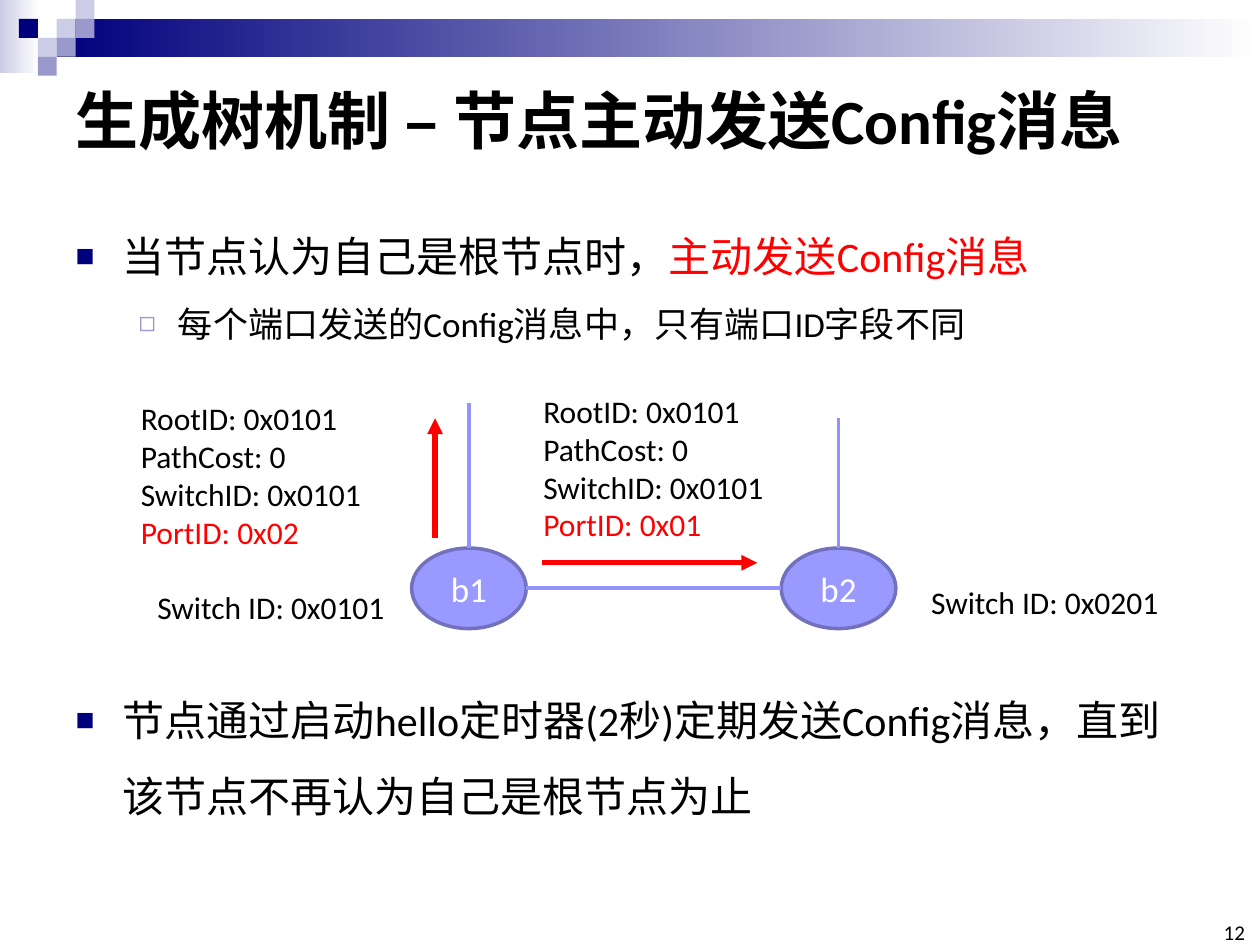
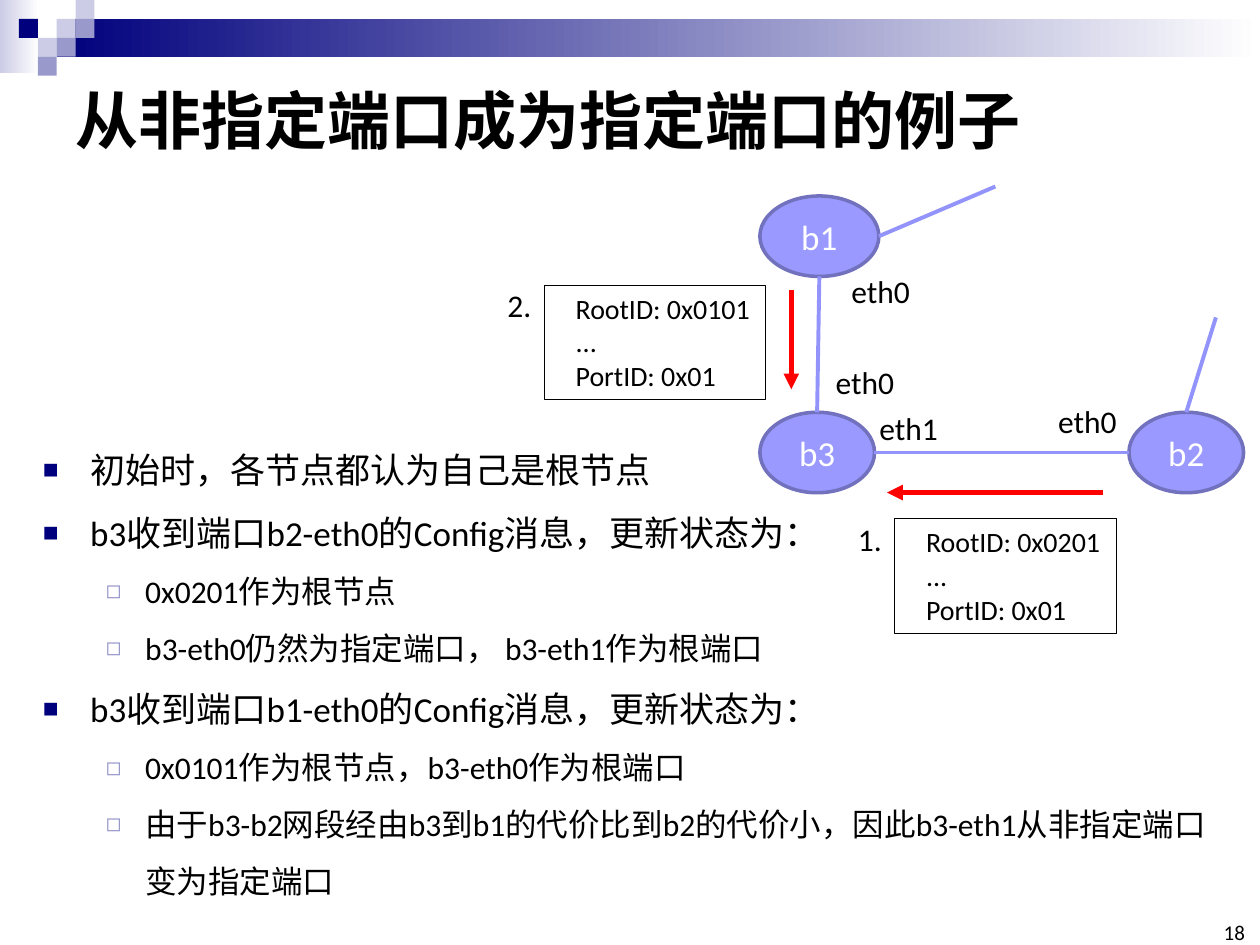
from dataclasses import dataclass

from lxml.etree import SubElement
from pptx import Presentation
from pptx.dml.color import RGBColor
from pptx.enum.shapes import MSO_CONNECTOR as Connector, MSO_SHAPE as Preset
from pptx.enum.text import MSO_ANCHOR as Anchor, MSO_AUTO_SIZE as AutoSize, PP_ALIGN as Align
from pptx.oxml.ns import qn
from pptx.util import Pt

FONT = "Calibri"
BLACK, WHITE, RED = "000000", "FFFFFF", "FF0000"
NAVY, LAVENDER, VIOLET = "00007D", "CCCCE6", "9999CC"
NODE_FILL, NODE_EDGE, LINK = "9999FF", "7171BD", "9393FC"
TILE = 10.8
TILES = [(3, 1, LAVENDER), (4, 0, LAVENDER), (4, 1, VIOLET), (2, 2, LAVENDER),
         (1, 1, NAVY), (3, 2, VIOLET), (2, 3, VIOLET)]  # column, row, colour


@dataclass(frozen=True)
class Span:
    text: str
    color: str = BLACK


@dataclass(frozen=True)
class Bullet:
    spans: tuple[Span, ...]
    size: float
    level: int = 0
    before: float = 0


@dataclass(frozen=True)
class BulletStyle:
    char: str
    color: str
    percent: int
    left: float
    hanging: float


@dataclass(frozen=True)
class Node:
    name: str
    left: float
    top: float
    width: float = 65.5
    height: float = 46

    @property
    def north(self) -> tuple[float, float]:
        return self.left + self.width / 2, self.top

    @property
    def south(self) -> tuple[float, float]:
        return self.left + self.width / 2, self.top + self.height

    @property
    def east(self) -> tuple[float, float]:
        return self.left + self.width, self.top + self.height / 2

    @property
    def west(self) -> tuple[float, float]:
        return self.left, self.top + self.height / 2


@dataclass(frozen=True)
class Label:
    lines: tuple[Span, ...]
    left: float
    top: float
    width: float
    height: float = 29


BULLET_STYLES = (BulletStyle("■", NAVY, 75, 27, 27),
                 BulletStyle("◻", VIOLET, 80, 58.5, 22.5))


# Shared helpers
def rgb(color: str) -> RGBColor:
    return RGBColor.from_string(color)


def style_font(font, size: float, color: str = BLACK, bold: bool = False) -> None:
    font.name, font.size, font.bold = FONT, Pt(size), bold
    font.color.rgb = rgb(color)


def place(box, left: float, top: float, width: float, height: float) -> None:
    box.left, box.top, box.width, box.height = map(Pt, (left, top, width, height))


def add_box(page, preset, left, top, width, height, fill, edge=None, weight=1):
    box = page.shapes.add_shape(preset, *map(Pt, (left, top, width, height)))
    box.shadow.inherit = False
    if isinstance(fill, tuple):
        box.fill.gradient()
        box.fill.gradient_angle = 0
        for stop, color in zip(box.fill.gradient_stops, fill):
            stop.color.rgb = rgb(color)
    else:
        box.fill.solid()
        box.fill.fore_color.rgb = rgb(fill)
    if edge:
        box.line.color.rgb = rgb(edge)
        box.line.width = Pt(weight)
    else:
        box.line.fill.background()
    return box


def write_lines(frame, lines: tuple[Span, ...], size: float, align=Align.LEFT) -> None:
    for index, line in enumerate(lines):
        para = frame.paragraphs[0] if index == 0 else frame.add_paragraph()
        para.add_run().text = line.text
        para.alignment = align
        style_font(para.font, size, line.color)


def add_label(page, label: Label, size: float = 18):
    box = page.shapes.add_textbox(*map(Pt, (label.left, label.top, label.width, label.height)))
    box.text_frame.word_wrap = False
    write_lines(box.text_frame, label.lines, size)
    return box


def add_line(page, start, end, color=LINK, weight=2.25, arrow=False) -> None:
    line = page.shapes.add_connector(Connector.STRAIGHT, *map(Pt, (*start, *end)))
    line.line.color.rgb = rgb(color)
    line.line.width = Pt(weight)
    if arrow:
        SubElement(line.line._get_or_add_ln(), qn("a:tailEnd"), type="triangle")
    SubElement(line._element.spPr, qn("a:effectLst"))


def add_arrow(page, start, end) -> None:
    add_line(page, start, end, RED, 3, arrow=True)


def add_node(page, node: Node) -> None:
    box = add_box(page, Preset.OVAL, node.left, node.top, node.width, node.height,
                  NODE_FILL, NODE_EDGE, 2)
    box.text_frame.vertical_anchor = Anchor.MIDDLE
    write_lines(box.text_frame, (Span(node.name, WHITE),), 20, Align.CENTER)


def add_message(page, root: str, left: float, top: float) -> None:
    box = add_box(page, Preset.RECTANGLE, left, top, 126.7, 65.5, WHITE, BLACK, 0.5)
    frame = box.text_frame
    frame.word_wrap = True
    frame.vertical_anchor = Anchor.TOP
    frame.margin_left, frame.margin_right = Pt(18), Pt(0)
    write_lines(frame, (Span(f"RootID: {root}"), Span("..."), Span("PortID: 0x01")), 16)


def format_bullet(para, style: BulletStyle) -> None:
    props = para._p.get_or_add_pPr()
    props.set("marL", str(Pt(style.left)))
    props.set("indent", str(-Pt(style.hanging)))
    SubElement(SubElement(props, qn("a:buClr")), qn("a:srgbClr"), val=style.color)
    SubElement(props, qn("a:buSzPct"), val=str(style.percent * 1000))
    SubElement(props, qn("a:buChar"), char=style.char)


def fill_body(body, bullets: list[Bullet]) -> None:
    frame = body.text_frame
    frame.auto_size = AutoSize.NONE
    frame.vertical_anchor = Anchor.TOP
    for index, bullet in enumerate(bullets):
        para = frame.paragraphs[0] if index == 0 else frame.add_paragraph()
        para.level = bullet.level
        para.line_spacing = 1.5
        para.space_before = Pt(bullet.before)
        format_bullet(para, BULLET_STYLES[bullet.level])
        style_font(para.font, bullet.size)
        for part in bullet.spans:
            span = para.add_run()
            span.text = part.text
            if part.color != BLACK:
                span.font.color.rgb = rgb(part.color)


def add_page(deck, title: str, number: int):
    page = deck.slides.add_slide(deck.slide_layouts[1])
    # Top band and tiles
    add_box(page, Preset.RECTANGLE, 0, 0, 22.3, 41.8, (LAVENDER, WHITE))
    add_box(page, Preset.RECTANGLE, 3 * TILE, TILE, 720 - 3 * TILE, 2 * TILE, (NAVY, WHITE))
    for column, row, color in TILES:
        add_box(page, Preset.RECTANGLE, column * TILE, row * TILE, TILE, TILE, color)
    # Title
    heading = page.shapes.title
    place(heading, 36, 36, 648, 64)
    frame = heading.text_frame
    frame.auto_size = AutoSize.NONE
    frame.vertical_anchor = Anchor.MIDDLE
    write_lines(frame, (Span(title),), 36)
    frame.paragraphs[0].font.bold = True
    # Page number
    box = add_label(page, Label((Span(str(number)),), 694.8, 527.8, 16.6, 12.2), 12)
    frame = box.text_frame
    frame.margin_left = frame.margin_right = frame.margin_top = frame.margin_bottom = 0
    frame.word_wrap = True
    frame.vertical_anchor = Anchor.BOTTOM
    frame.paragraphs[0].alignment = Align.RIGHT
    return page


# Slides
def build_active_sending(deck) -> None:
    page = add_page(deck, "生成树机制 – 节点主动发送Config消息", 12)
    body = page.placeholders[1]
    place(body, 36, 113.8, 648, 396.7)
    fill_body(body, [
        Bullet((Span("当节点认为自己是根节点时，"), Span("主动发送Config消息", RED)), 24),
        Bullet((Span("每个端口发送的Config消息中，只有端口ID字段不同"),), 20, 1),
        Bullet((Span("节点通过启动hello定时器(2秒)定期发送Config消息，"
                     "直到该节点不再认为自己是根节点为止"),), 24, before=186),
    ])
    # Switches and links
    b1, b2 = Node("b1", 235.2, 313.2), Node("b2", 446.4, 313.2)
    for node, link_top in ((b1, 230.4), (b2, 239)):
        add_node(page, node)
        add_line(page, (node.north[0], link_top), node.north)
    add_line(page, b1.east, b2.west)
    for switch, left, top in (("0x0101", 82.8, 332.6), ("0x0201", 525, 329.5)):
        add_label(page, Label((Span(f"Switch ID: {switch}"),), left, top, 146.2))
    # Config messages
    for port, left, top in (("0x02", 73.4, 224.6), ("0x01", 303.4, 220.5)):
        lines = (Span("RootID: 0x0101"), Span("PathCost: 0"),
                 Span("SwitchID: 0x0101"), Span(f"PortID: {port}", RED))
        add_label(page, Label(lines, left, top, 141.8, 94.3))
    add_arrow(page, (248.6, 307.4), (248.6, 239))
    add_arrow(page, (309.6, 321.6), (432.7, 321.6))


def build_port_example(deck) -> None:
    page = add_page(deck, "从非指定端口成为指定端口的例子", 18)
    body = page.placeholders[1]
    place(body, 17.3, 240.5, 686.2, 237.6)
    fill_body(body, [Bullet((Span(text),), 18 if level else 20, level) for level, text in (
        (0, "初始时，各节点都认为自己是根节点"),
        (0, "b3收到端口b2-eth0的Config消息，更新状态为："),
        (1, "0x0201作为根节点"),
        (1, "b3-eth0仍然为指定端口， b3-eth1作为根端口"),
        (0, "b3收到端口b1-eth0的Config消息，更新状态为："),
        (1, "0x0101作为根节点，b3-eth0作为根端口"),
        (1, "由于b3-b2网段经由b3到b1的代价比到b2的代价小，"
            "因此b3-eth1从非指定端口变为指定端口"),
    )])
    # Switches and links
    b1 = Node("b1", 434.2, 112, width=68)
    b2, b3 = Node("b2", 645.1, 235.6), Node("b3", 434.2, 235.6)
    for node in (b1, b2, b3):
        add_node(page, node)
    for start, end in ((b1.south, b3.north), (b3.east, b2.west),
                       ((694.8, 181.4), b2.north), (b1.east, (568.8, 106.6))):
        add_line(page, start, end)
    # Port names
    for port, left, top in (("eth0", 479.5, 152), ("eth0", 470.5, 203.8),
                            ("eth1", 495.4, 230), ("eth0", 597.6, 226)):
        add_label(page, Label((Span(port),), left, top, 48.2))
    # Numbered Config messages
    for step, root, left, top in (("1.", "0x0201", 511.2, 296.4),
                                  ("2.", "0x0101", 311, 163)):
        add_message(page, root, left, top)
        add_label(page, Label((Span(step),), left - 28.1, top - 2.9, 28.1))
    add_arrow(page, (630, 281.5), (506.9, 281.5))
    add_arrow(page, (452.2, 165.6), (452.2, 222.5))


def main() -> None:
    deck = Presentation()
    deck.slide_width, deck.slide_height = Pt(720), Pt(540)
    build_active_sending(deck)
    build_port_example(deck)
    deck.save("out.pptx")


if __name__ == "__main__":
    main()
